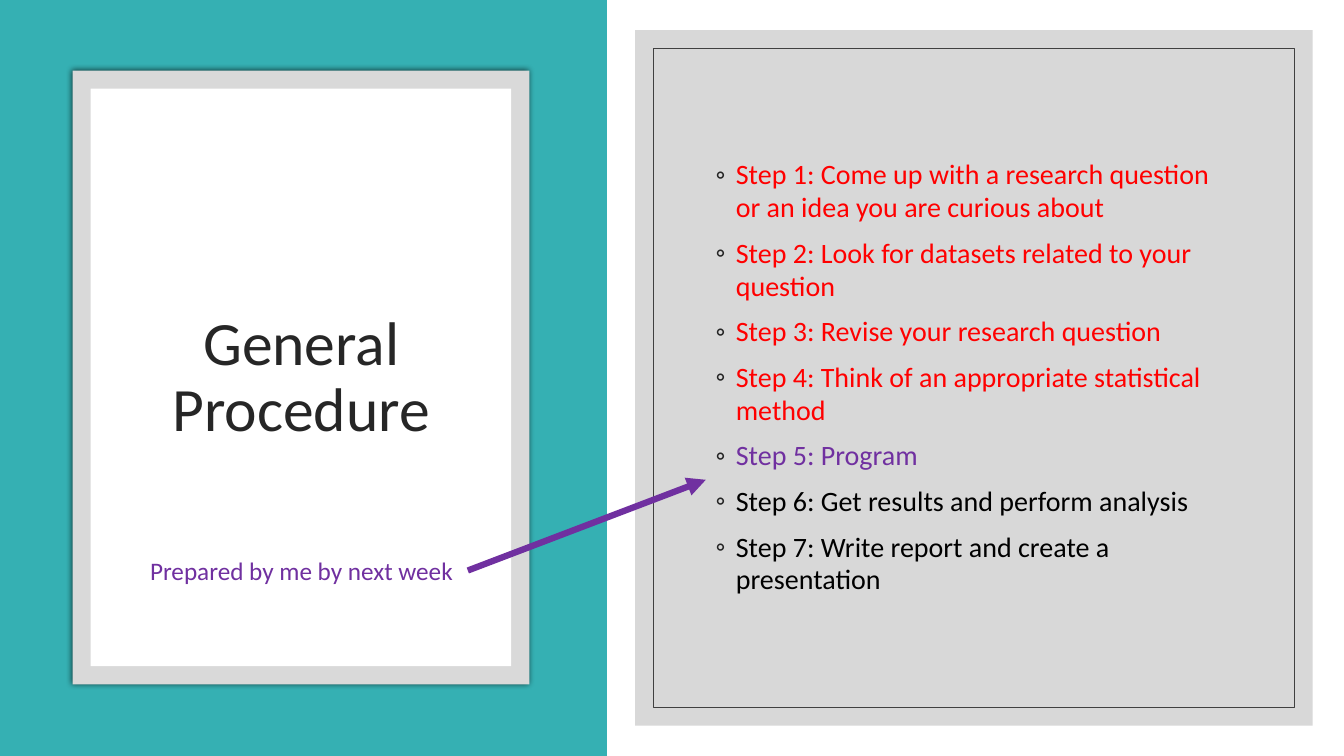
from lxml import etree
from pptx import Presentation
from pptx.dml.color import RGBColor
from pptx.enum.shapes import MSO_CONNECTOR, MSO_SHAPE
from pptx.enum.text import MSO_ANCHOR, MSO_AUTO_SIZE, PP_ALIGN
from pptx.oxml import parse_xml
from pptx.oxml.ns import qn
from pptx.util import Inches, Pt

RECTANGLE = MSO_SHAPE.RECTANGLE
STRAIGHT = MSO_CONNECTOR.STRAIGHT
MIDDLE, TOP = MSO_ANCHOR.MIDDLE, MSO_ANCHOR.TOP
LEFT, CENTER = PP_ALIGN.LEFT, PP_ALIGN.CENTER
DRAWING_NS = "http://schemas.openxmlformats.org/drawingml/2006/main"

# Content
FONT = "Calibri"
COLORS = {
    "teal": "35B0B3", "frame": "D9D9D9", "white": "FFFFFF", "panel": "BFBFBF",
    "outline": "404040", "ink": "262626", "red": "FF0000",
    "purple": "7030A0", "black": "000000",
}
TITLE = "General Procedure"
NOTE = "Prepared by me by next week"
STEPS = [
    ("Come up with a research question or an idea you are curious about", "red"),
    ("Look for datasets related to your question", "red"),
    ("Revise your research question", "red"),
    ("Think of an appropriate statistical method", "red"),
    ("Program", "purple"),
    ("Get results and perform analysis", "black"),
    ("Write report and create a presentation", "black"),
]

# Layout: left, top, width, height in inches
BORDER = 0.18
TEAL_BAND = (0, 0, 6.02, 7.5)
TITLE_FRAME = (0.72, 0.7, 4.53, 6.09)
STEPS_PANEL = (6.3, 0.3, 6.72, 6.9)
TITLE_AREA = (1.08, 1.3, 3.82, 4.91)
STEPS_AREA = (7, 1.02, 5.33, 5.45)
NOTE_AREA = (1.39, 5.46, 3.26, 0.4)
ARROW_START, ARROW_END = (4.64, 5.66), (7, 4.76)


def rgb(color):
    return RGBColor.from_string(COLORS[color])


def inset(area):
    left, top, width, height = area
    return left + BORDER, top + BORDER, width - 2 * BORDER, height - 2 * BORDER


def add_rectangle(slide, area, fill=None, line=None):
    shape = slide.shapes.add_shape(RECTANGLE, *map(Inches, area))
    shape.shadow.inherit = False
    if fill:
        shape.fill.solid()
        shape.fill.fore_color.rgb = rgb(fill)
    else:
        shape.fill.background()
    if line:
        shape.line.color.rgb = rgb(line)
        shape.line.width = Pt(0.5)
    else:
        shape.line.fill.background()
    return shape


def add_text_frame(slide, area, anchor, wrap=True):
    frame = slide.shapes.add_textbox(*map(Inches, area)).text_frame
    frame.word_wrap = wrap
    frame.vertical_anchor = anchor
    return frame


def add_run(paragraph, text, size, color):
    run = paragraph.add_run()
    run.text = text
    run.font.name = FONT
    run.font.size = Pt(size)
    run.font.color.rgb = rgb(color)


def add_bullet(paragraph):
    properties = paragraph._p.get_or_add_pPr()
    properties.set("marL", str(Inches(0.2)))
    properties.set("indent", str(Inches(-0.2)))
    bullet_color = etree.SubElement(properties, qn("a:buClr"))
    etree.SubElement(bullet_color, qn("a:srgbClr"), val=COLORS["ink"])
    etree.SubElement(properties, qn("a:buFont"), typeface=FONT)
    etree.SubElement(properties, qn("a:buChar"), char="◦")


def main():
    presentation = Presentation()
    presentation.slide_width = Inches(13.33)
    presentation.slide_height = Inches(7.5)
    slide = presentation.slides.add_slide(presentation.slide_layouts[6])

    # Teal band and framed title card
    add_rectangle(slide, TEAL_BAND, "teal")
    title_frame = add_rectangle(slide, TITLE_FRAME, "frame")
    effects = title_frame._element.spPr.find(qn("a:effectLst"))
    effects.append(parse_xml(
        f'<a:outerShdw xmlns:a="{DRAWING_NS}" blurRad="{Pt(4)}" dist="0" dir="0">'
        '<a:srgbClr val="000000"><a:alpha val="66000"/></a:srgbClr></a:outerShdw>'))
    add_rectangle(slide, inset(TITLE_FRAME), "white")
    title = add_text_frame(slide, TITLE_AREA, MIDDLE).paragraphs[0]
    title.alignment = CENTER
    title.line_spacing = 0.9
    add_run(title, TITLE, 44, "ink")

    # Translucent steps panel with a thin outline
    panel = add_rectangle(slide, STEPS_PANEL, "panel")
    panel_color = panel._element.spPr.find(qn("a:solidFill"))[0]
    etree.SubElement(panel_color, qn("a:alpha"), val="60000")
    add_rectangle(slide, inset(STEPS_PANEL), line="outline")

    # Numbered steps
    steps = add_text_frame(slide, STEPS_AREA, MIDDLE)
    for number, (step, color) in enumerate(STEPS, start=1):
        paragraph = steps.paragraphs[0] if number == 1 else steps.add_paragraph()
        paragraph.alignment = LEFT
        paragraph.line_spacing = 0.98
        if number > 1:
            paragraph.space_before = Pt(9)
        add_bullet(paragraph)
        add_run(paragraph, f"Step {number}: {step}", 20, color)

    # Note and its arrow to step 5
    note = add_text_frame(slide, NOTE_AREA, TOP, wrap=False)
    note.auto_size = MSO_AUTO_SIZE.SHAPE_TO_FIT_TEXT
    add_run(note.paragraphs[0], NOTE, 18, "purple")
    arrow = slide.shapes.add_connector(
        STRAIGHT, *map(Inches, ARROW_START + ARROW_END))
    arrow.line.color.rgb = rgb("purple")
    arrow.line.width = Pt(4.5)
    etree.SubElement(arrow.line._get_or_add_ln(), qn("a:tailEnd"), type="triangle")
    etree.SubElement(arrow._element.spPr, qn("a:effectLst"))

    presentation.save("out.pptx")


if __name__ == "__main__":
    main()
